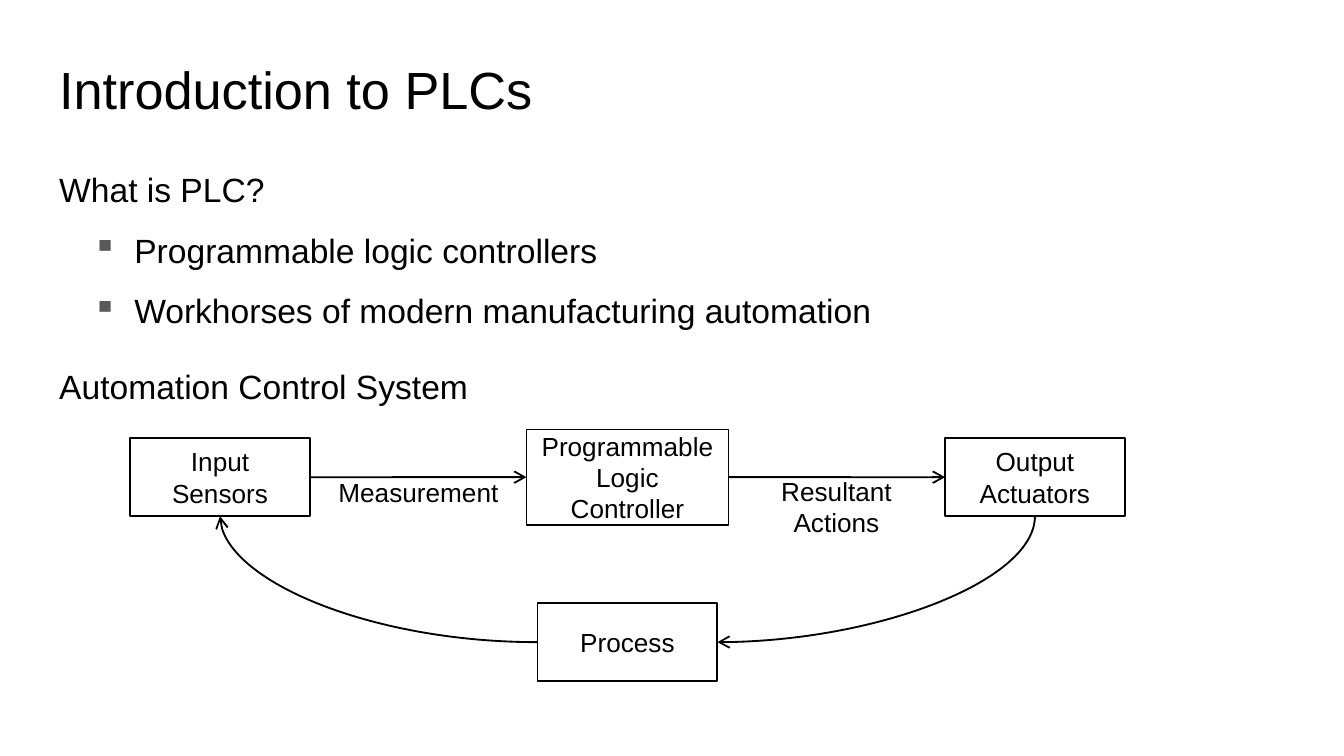
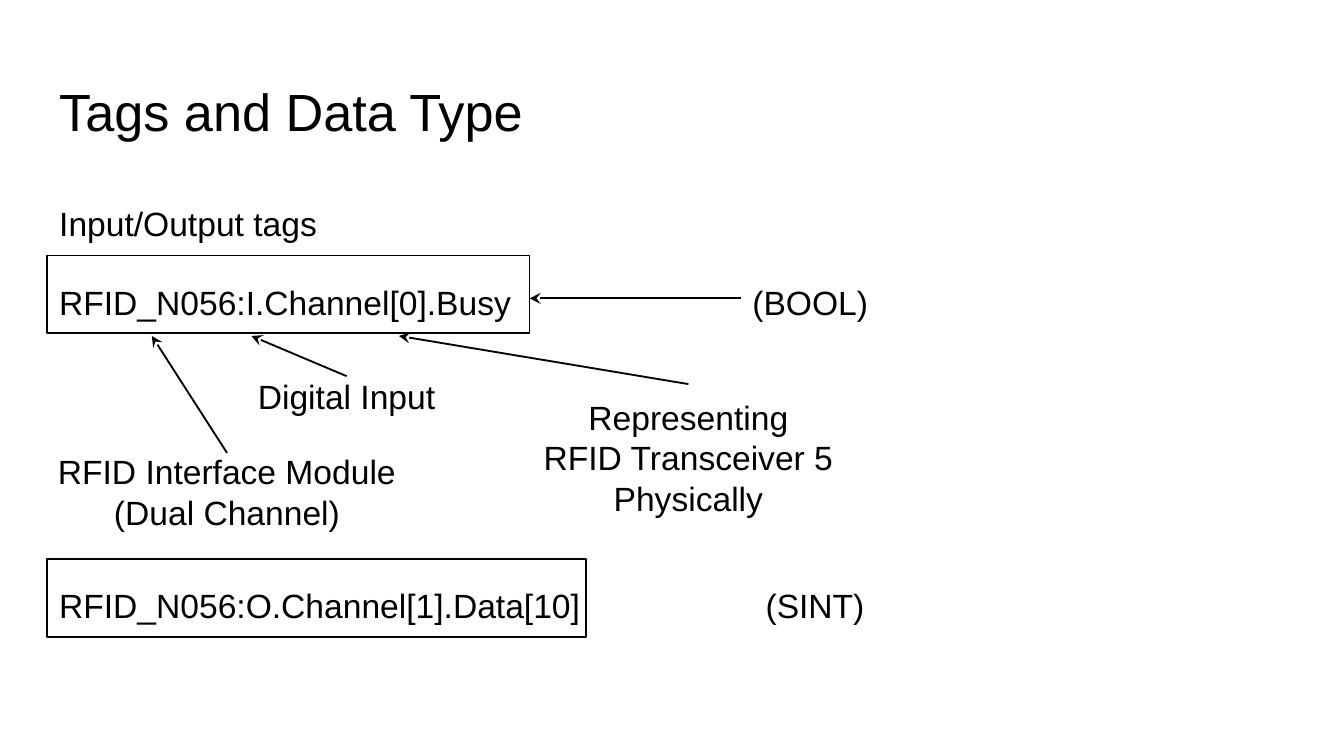
import dataclasses

import pptx
import pptx.dml.color
import pptx.enum.shapes
import pptx.enum.text
import pptx.oxml.ns
import pptx.util
from lxml import etree

Cm, Pt = pptx.util.Cm, pptx.util.Pt
qn = pptx.oxml.ns.qn
LINK = pptx.enum.shapes.MSO_CONNECTOR


@dataclasses.dataclass(frozen=True)
class Theme:
    font: str = "Arial"
    ink: str = "000000"
    mark: str = "595959"
    title: int = 28
    body: int = 18
    small: int = 14
    line: int = 1


theme = Theme()
ink = pptx.dml.color.RGBColor.from_string(theme.ink)


def place(slide, text, left, top, width, height, size, framed=False, centred=True):
    """Add a text box, or an outlined rectangle when framed."""
    area = Cm(left), Cm(top), Cm(width), Cm(height)
    if framed:
        shape = slide.shapes.add_shape(pptx.enum.shapes.MSO_SHAPE.RECTANGLE, *area)
        shape.shadow.inherit = False
        shape.fill.background()
        shape.line.color.rgb = ink
        shape.line.width = Pt(theme.line)
    else:
        shape = slide.shapes.add_textbox(*area)
    frame = shape.text_frame
    frame.word_wrap = True
    frame.text = text
    if centred:
        frame.vertical_anchor = pptx.enum.text.MSO_ANCHOR.MIDDLE
    else:
        frame.vertical_anchor = pptx.enum.text.MSO_ANCHOR.TOP
        frame.margin_top = frame.margin_bottom = Cm(0.25)
    for para in frame.paragraphs:
        para.alignment = pptx.enum.text.PP_ALIGN.CENTER if centred else pptx.enum.text.PP_ALIGN.LEFT
        for run in para.runs:
            run.font.name = theme.font
            run.font.size = Pt(size)
            run.font.color.rgb = ink
    return shape


def link(slide, kind, start, end, tip, side="tailEnd"):
    """Add a line with a tip at its start (headEnd) or its end (tailEnd)."""
    line = slide.shapes.add_connector(kind, *map(Cm, start + end))
    line.line.color.rgb = ink
    line.line.width = Pt(theme.line)
    props = line._element.spPr
    etree.SubElement(props.find(qn("a:ln")), qn("a:" + side), type=tip)
    etree.SubElement(props, qn("a:effectLst"))
    if kind == LINK.CURVE:
        props.find(qn("a:prstGeom")).set("prst", "curvedConnector2")
    return line


deck = pptx.Presentation()
deck.slide_width, deck.slide_height = Cm(25.4), Cm(14.29)

# Title and title top, body top and height, then lines: text, space before, bulleted, tab stop
pages = [
    ("Introduction to PLCs", 0.84, 2.57, 9.5, [
        ("What is PLC?", 0, False, None),
        ("Programmable logic controllers", 0, True, None),
        ("Workhorses of modern manufacturing automation", 0, True, None),
        ("Automation Control System", 8, False, None),
    ]),
    ("Tags and Data Type", 1.24, 3.2, 9.3, [
        ("Input/Output tags", 0, False, None),
        ("RFID_N056:I.Channel[0].Busy\t(BOOL)", 10, False, 13.1),
        ("RFID_N056:O.Channel[1].Data[10]\t(SINT)", 130, False, 13.35),
    ]),
]
slides = []
for title, head, top, height, lines in pages:
    slide = deck.slides.add_slide(deck.slide_layouts[6])
    slides.append(slide)
    place(slide, title, 0.87, head, 23.67, 1.6, theme.title, centred=False)
    text = "\n".join(line[0] for line in lines)
    body = place(slide, text, 0.87, top, 23.67, height, theme.body, centred=False)
    for para, (_, space, bullet, tab) in zip(body.text_frame.paragraphs, lines):
        para.line_spacing = 1.5
        para.space_before = Pt(space)
        props = para._p.get_or_add_pPr()
        if bullet:
            props.set("marL", str(Cm(1.42)))
            props.set("indent", str(-Cm(0.79)))
            tint = etree.SubElement(props, qn("a:buClr"))
            etree.SubElement(tint, qn("a:srgbClr"), val=theme.mark)
            etree.SubElement(props, qn("a:buChar"), char="▪")
        if tab:
            stops = etree.SubElement(props, qn("a:tabLst"))
            etree.SubElement(stops, qn("a:tab"), pos=str(Cm(tab)), algn="l")
loop, tags = slides

# Control loop: boxes by centre, with equal steps across
mid, step, row, low = 11.86, 7.7, 9.02, 12.14
nodes = []
for text, x, y, wide, high in [
    ("Input Sensors", mid - step, row, 3.4, 1.48),
    ("Programmable Logic\nController", mid, row, 3.82, 1.8),
    ("Output Actuators", mid + step, row, 3.4, 1.48),
    ("Process", mid, low, 3.4, 1.48),
]:
    nodes.append(place(loop, text, x - wide / 2, y - high / 2, wide, high, theme.small, framed=True))
sensor, logic, output, process = nodes

for kind, first, out, last, into, side in [
    (LINK.STRAIGHT, sensor, 3, logic, 1, "tailEnd"),
    (LINK.STRAIGHT, logic, 3, output, 1, "tailEnd"),
    (LINK.CURVE, process, 3, output, 2, "headEnd"),
    (LINK.CURVE, process, 1, sensor, 2, "tailEnd"),
]:
    line = link(loop, kind, (0, 0), (1, 1), "arrow", side)
    line.begin_connect(first, out)
    line.end_connect(last, into)

for text, x, top in [("Measurement", mid - 3.95, 8.56), ("Resultant\nActions", mid + 3.95, 8.84)]:
    place(loop, text, x - 1.79, top, 3.58, 1.48, theme.small)

# Tag parts, with arrows up to the framed tag
for top, wide in [(4.83, 9.12), (10.57, 10.19)]:
    place(tags, "", 0.89, top, wide, 1.47, theme.body, framed=True)
link(tags, LINK.STRAIGHT, (14, 5.64), (10.01, 5.64), "stealth")
for text, left, top, wide, high, aim in [
    ("RFID Interface Module\n(Dual Channel)", 0.71, 8.56, 7.16, 1.47, 2.87),
    ("Digital Input", 4.48, 7.11, 4.14, 0.76, 4.75),
    ("Representing\nRFID Transceiver 5 Physically", 9.72, 7.26, 6.58, 2.77, 7.54),
]:
    place(tags, text, left, top, wide, high, theme.body)
    link(tags, LINK.STRAIGHT, (left + wide / 2, top), (aim, 6.35), "stealth")

deck.save("out.pptx")
